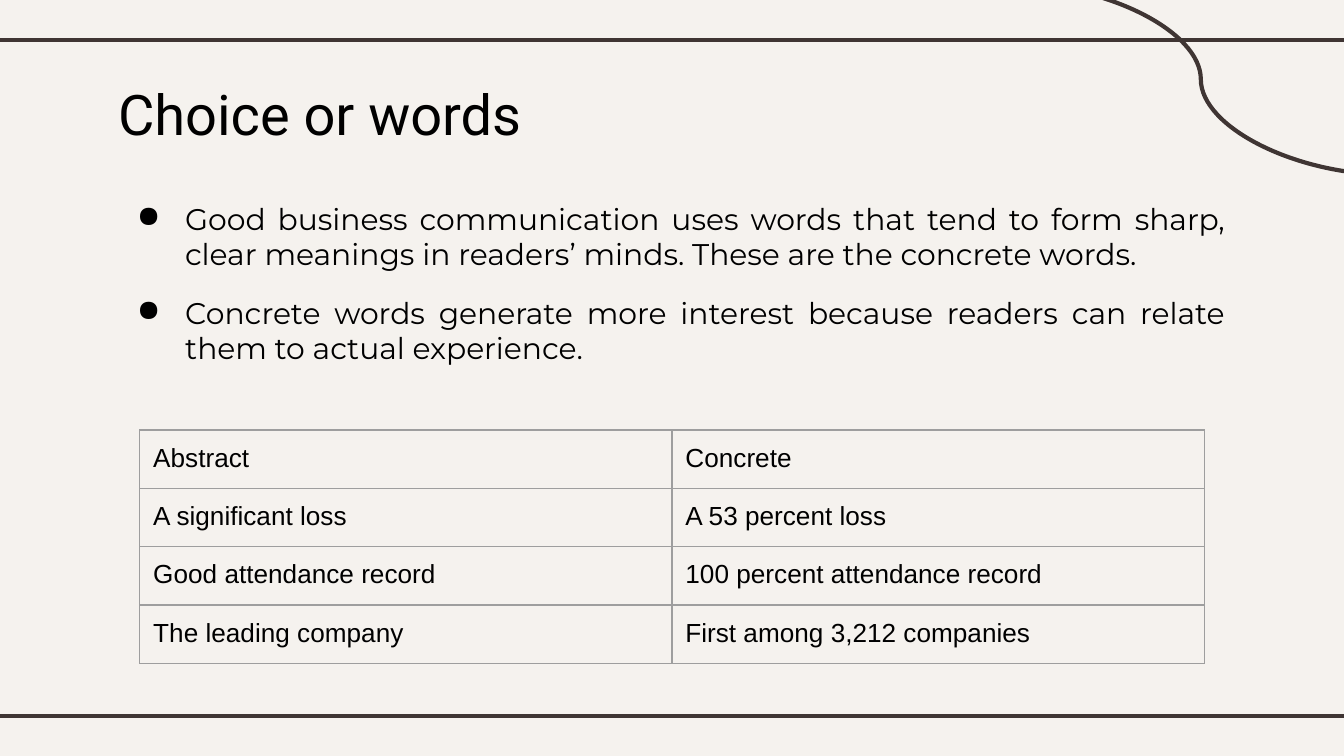
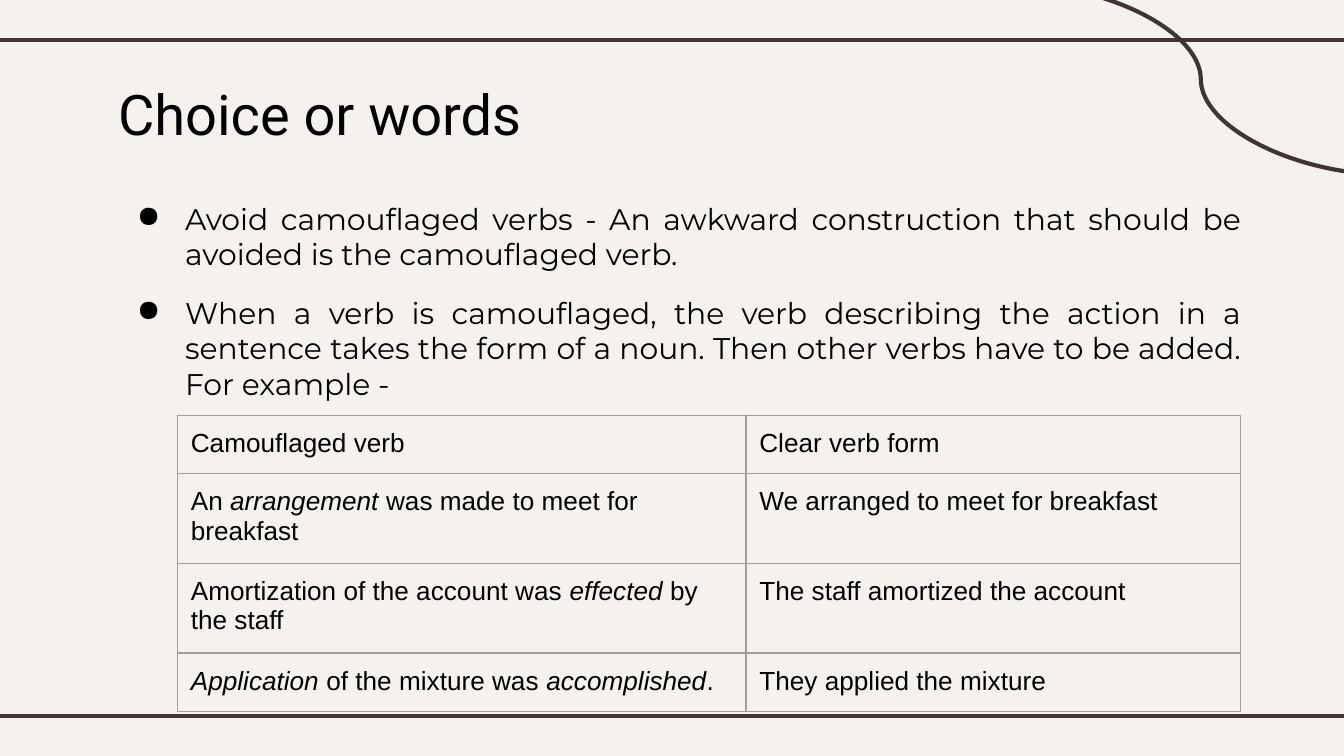
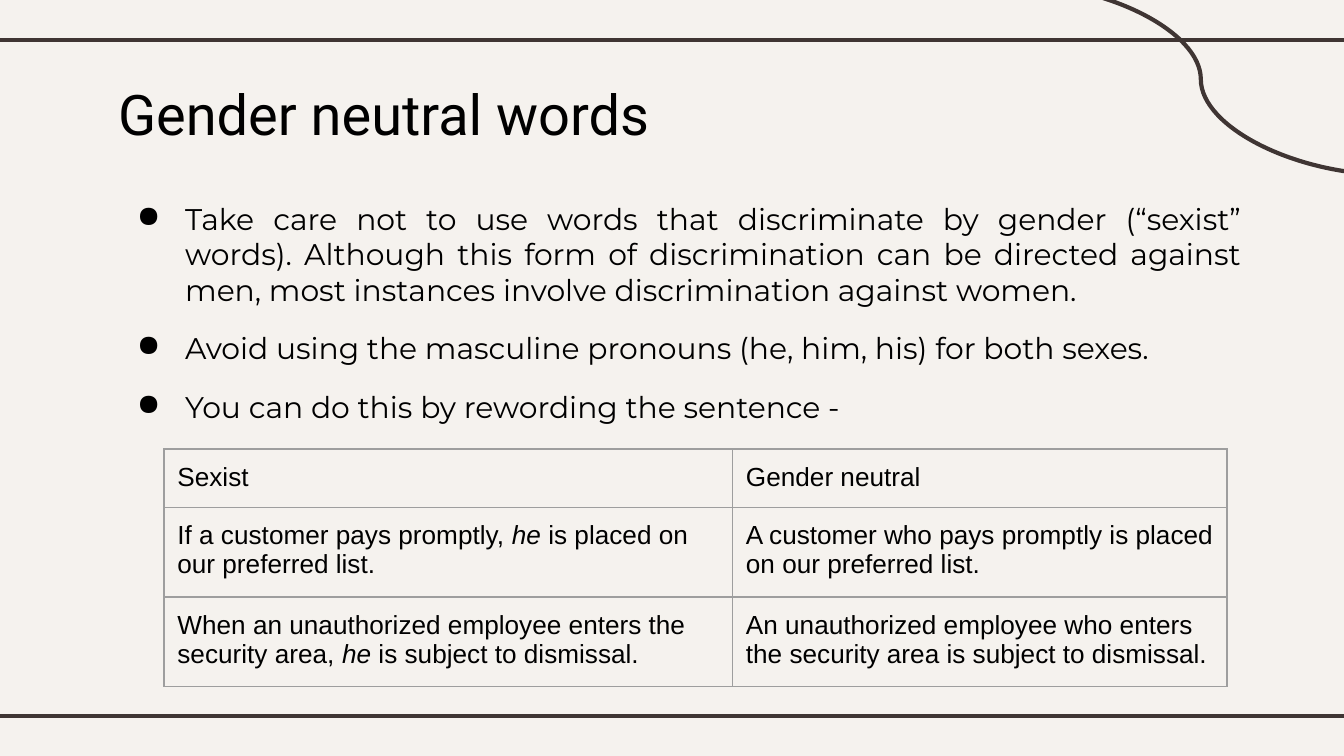
"""Build three slides on word choice, each with bullets and a comparison table."""
from dataclasses import dataclass

from lxml import etree
from pptx import Presentation
from pptx import util as u
from pptx.dml.color import RGBColor
from pptx.enum import shapes, text
from pptx.oxml import ns

PAPER = RGBColor(0xF5, 0xF2, 0xEE)
INK = RGBColor(0x3F, 0x35, 0x33)
BLACK = RGBColor(0x00, 0x00, 0x00)
GRID_LINE = RGBColor(0x9E, 0x9E, 0x9E)

SLIDE_W = u.Inches(10)
SLIDE_H = u.Inches(5.625)
GRID_COLS = 100
MARGIN_COL = 7.8
ROW_HEIGHT = 4.2
INSET = 1


@dataclass(frozen=True)
class Font:
    """A typeface and its size in points."""
    name: str
    size: int


@dataclass(frozen=True)
class Rule:
    """A line between two grid points."""
    kind: shapes.MSO_CONNECTOR
    x1: float
    y1: float
    x2: float
    y2: float


@dataclass(frozen=True)
class Comparison:
    """A two-column table; text between asterisks is italic."""
    x: float
    y: float
    widths: tuple[float, float]
    rows: tuple[tuple[str, str], ...]


@dataclass(frozen=True)
class Page:
    """The content of one slide."""
    title: str
    body_width: float
    bullets: tuple[str, ...]
    table: Comparison


TITLE_FONT = Font("Roboto", 30)
BODY_FONT = Font("Montserrat", 16)
TABLE_FONT = Font("Arial", 14)

RULES = (
    Rule(shapes.MSO_CONNECTOR.STRAIGHT, -0.8, 3, 100.8, 3),
    Rule(shapes.MSO_CONNECTOR.STRAIGHT, -0.8, 53.3, 100.8, 53.3),
    Rule(shapes.MSO_CONNECTOR.CURVE, 75.3, -1.2, 103.4, 13),
)

PAGES = (
    Page(
        "Choice or words", 84.4,
        ("Good business communication uses words that tend to form sharp, clear "
         "meanings in readers’ minds. These are the concrete words.",
         "Concrete words generate more interest because readers can relate them "
         "to actual experience."),
        Comparison(10.4, 32, (39.6, 39.6), (
            ("Abstract", "Concrete"),
            ("A significant loss", "A 53 percent loss"),
            ("Good attendance record", "100 percent attendance record"),
            ("The leading company", "First among 3,212 companies"),
        )),
    ),
    Page(
        "Choice or words", 85.6,
        ("Avoid camouflaged verbs - An awkward construction that should be "
         "avoided is the camouflaged verb.",
         "When a verb is camouflaged, the verb describing the action in a "
         "sentence takes the form of a noun. Then other verbs have to be added. "
         "For example -"),
        Comparison(13.2, 30.9, (42.3, 36.8), (
            ("Camouflaged verb", "Clear verb form"),
            ("An *arrangement *was made to meet for breakfast",
             "We arranged to meet for breakfast"),
            ("Amortization of the account was *effected *by the staff",
             "The staff amortized the account"),
            ("*Application *of the mixture was *accomplished*.",
             "They applied the mixture"),
        )),
    ),
    Page(
        "Gender neutral words", 85.6,
        ("Take care not to use words that discriminate by gender (“sexist” "
         "words). Although this form of discrimination can be directed against "
         "men, most instances involve discrimination against women.",
         "Avoid using the masculine pronouns (he, him, his) for both sexes.",
         "You can do this by rewording the sentence -"),
        Comparison(12.2, 33.4, (42.3, 36.8), (
            ("Sexist", "Gender neutral"),
            ("If a customer pays promptly, *he* is placed on our preferred list.",
             "A customer who pays promptly is placed on our preferred list."),
            ("When an unauthorized employee enters the security area, *he *is "
             "subject to dismissal.",
             "An unauthorized employee who enters the security area is subject "
             "to dismissal."),
        )),
    ),
)


def grid(units: float) -> u.Emu:
    """Convert square grid units, 100 to the slide's width, to a length."""
    return u.Emu(round(SLIDE_W * units / GRID_COLS))


def add_runs(p, words: str, font: Font) -> None:
    """Add words as runs, italic between asterisks."""
    for i, part in enumerate(words.split("*")):
        if part:
            r = p.add_run()
            r.text = part
            r.font.name = font.name
            r.font.size = u.Pt(font.size)
            r.font.color.rgb = BLACK
            if i % 2:
                r.font.italic = True


def set_insets(box) -> None:
    """Give a text frame or cell equal margins."""
    box.margin_left = box.margin_right = grid(INSET)
    box.margin_top = box.margin_bottom = grid(INSET)


def add_text_frame(s, x: float, y: float, w: float, h: float):
    """Add a wrapping text box and return its frame."""
    tf = s.shapes.add_textbox(grid(x), grid(y), grid(w), grid(h)).text_frame
    tf.word_wrap = True
    tf.vertical_anchor = text.MSO_ANCHOR.TOP
    set_insets(tf)
    return tf


def add_rule(s, rule: Rule) -> None:
    """Draw a decorative line."""
    c = s.shapes.add_connector(rule.kind, grid(rule.x1), grid(rule.y1),
                               grid(rule.x2), grid(rule.y2))
    c.line.color.rgb = INK
    c.line.width = u.Pt(2.25)
    etree.SubElement(c._element.spPr, ns.qn("a:effectLst"))


def set_bullet(p) -> None:
    """Give a paragraph a hanging black bullet."""
    pr = p._p.get_or_add_pPr()
    pr.set("marL", str(grid(5)))
    pr.set("indent", str(grid(-3.6)))
    color = etree.SubElement(pr, ns.qn("a:buClr"))
    etree.SubElement(color, ns.qn("a:srgbClr"), val=str(BLACK))
    etree.SubElement(pr, ns.qn("a:buChar"), char="●")


def add_bullets(s, page: Page) -> None:
    """Add the justified bullet list."""
    tf = add_text_frame(s, MARGIN_COL, 13.9, page.body_width, 36)
    for i, words in enumerate(page.bullets):
        p = tf.add_paragraph() if i else tf.paragraphs[0]
        p.alignment = text.PP_ALIGN.JUSTIFY
        p.space_before = u.Pt(12 if i else 10)
        p.space_after = u.Pt(12 if i == len(page.bullets) - 1 else 0)
        set_bullet(p)
        add_runs(p, words, BODY_FONT)


def set_borders(cell) -> None:
    """Outline a cell on all four sides."""
    pr = cell._tc.get_or_add_tcPr()
    for i, side in enumerate(("lnL", "lnR", "lnT", "lnB")):
        ln = etree.Element(ns.qn(f"a:{side}"), w=str(u.Pt(0.75)))
        fill = etree.SubElement(ln, ns.qn("a:solidFill"))
        etree.SubElement(fill, ns.qn("a:srgbClr"), val=str(GRID_LINE))
        pr.insert(i, ln)


def add_comparison(s, table: Comparison) -> None:
    """Add the comparison table."""
    count = len(table.rows)
    t = s.shapes.add_table(count, len(table.widths), grid(table.x), grid(table.y),
                           grid(sum(table.widths)), grid(ROW_HEIGHT * count)).table
    t.first_row = t.horz_banding = False
    for col, width in zip(t.columns, table.widths):
        col.width = grid(width)
    for row, entries in zip(t.rows, table.rows):
        row.height = grid(ROW_HEIGHT)
        for cell, words in zip(row.cells, entries):
            set_insets(cell)
            cell.fill.background()
            set_borders(cell)
            add_runs(cell.text_frame.paragraphs[0], words, TABLE_FONT)


def add_page(prs, page: Page) -> None:
    """Add one complete slide."""
    s = prs.slides.add_slide(prs.slide_layouts[6])
    s.background.fill.solid()
    s.background.fill.fore_color.rgb = PAPER
    for rule in RULES:
        add_rule(s, rule)
    tf = add_text_frame(s, MARGIN_COL, 4.9, 51.5, 6.3)
    add_runs(tf.paragraphs[0], page.title, TITLE_FONT)
    add_bullets(s, page)
    add_comparison(s, page.table)


def main() -> None:
    """Build and save the deck."""
    prs = Presentation()
    prs.slide_width, prs.slide_height = SLIDE_W, SLIDE_H
    for page in PAGES:
        add_page(prs, page)
    prs.save("out.pptx")


if __name__ == "__main__":
    main()
